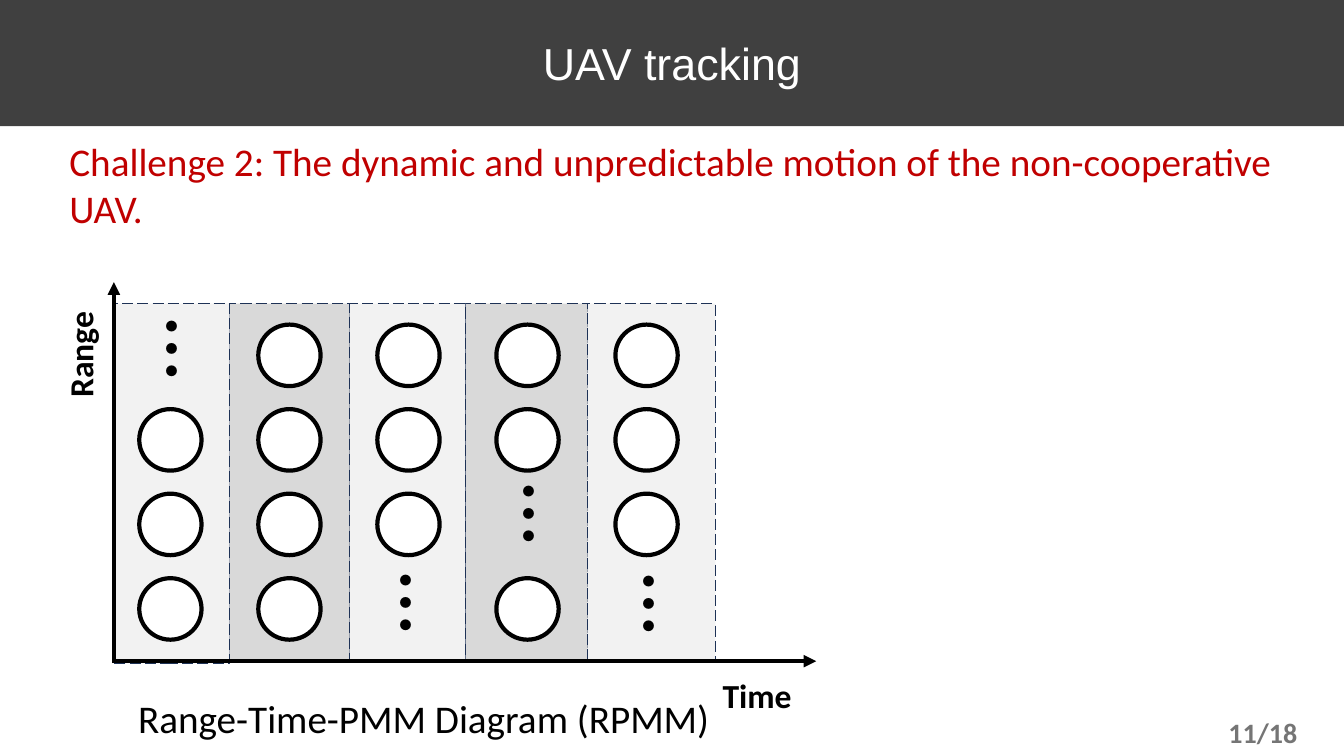
from lxml import etree
from pptx import Presentation
from pptx.dml.color import RGBColor
from pptx.enum.dml import MSO_LINE_DASH_STYLE as DASH
from pptx.enum.shapes import MSO_CONNECTOR, MSO_SHAPE
from pptx.enum.text import MSO_ANCHOR, MSO_AUTO_SIZE, PP_ALIGN
from pptx.oxml.ns import qn
from pptx.util import Cm, Pt

WHITE = RGBColor(0xFF, 0xFF, 0xFF)
BLACK = RGBColor(0, 0, 0)
BANNER = RGBColor(0x40, 0x40, 0x40)
RED = RGBColor(0xC0, 0, 0)
PAGE_GREY = RGBColor(0x75, 0x75, 0x75)
NAVY = RGBColor(0x1E, 0x32, 0x56)
BAND_FILLS = (RGBColor(0xF2, 0xF2, 0xF2), RGBColor(0xD9, 0xD9, 0xD9))

# Diagram geometry in centimetres
BAND_EDGES = (2.84, 5.79, 8.81, 11.73, 14.81, 18.03)
BAND_TOP, BAND_HEIGHT = 7.65, 9.0
CELL_LEFT, CELL_TOP = 3.51, 8.18
COLUMN_STEP, ROW_STEP = 3.0, 2.13
CELL_ROWS = (".OOOO", "OOOOO", "OOO.O", "OO.O.")
ELLIPSIS_PLACES = ((3.38, 7.8), (9.27, 14.2), (15.39, 14.22), (12.37, 11.94))


def format_runs(paragraph, size, color, font_name, bold=False):
    for run in paragraph.runs:
        font = run.font
        font.size, font.bold, font.name = Pt(size), bold, font_name
        font.color.rgb = color


def add_title(slide, text):
    title = slide.shapes.title
    title.left, title.top, title.width, title.height = Cm(0), Cm(0), Cm(33.87), Cm(3.18)
    title.fill.solid()
    title.fill.fore_color.rgb = BANNER
    frame = title.text_frame
    frame.text = text
    frame.vertical_anchor = MSO_ANCHOR.MIDDLE
    frame.paragraphs[0].alignment = PP_ALIGN.CENTER
    format_runs(frame.paragraphs[0], 32, WHITE, "Arial")


def add_text(slide, text, left, top, width, height, size, color=BLACK,
             font_name="Calibri", bold=False, rotation=0):
    box = slide.shapes.add_textbox(Cm(left), Cm(top), Cm(width), Cm(height))
    box.rotation = rotation
    frame = box.text_frame
    frame.word_wrap = True
    frame.auto_size = MSO_AUTO_SIZE.SHAPE_TO_FIT_TEXT
    frame.text = text
    format_runs(frame.paragraphs[0], size, color, font_name, bold)
    return box


def add_ellipsis(slide, left, top):
    box = add_text(slide, "…", left, top, 1.88, 2.31, 48,
                   font_name="Noto Sans CJK SC", bold=True, rotation=270)
    # The dots are set in the East Asian font
    properties = box.text_frame.paragraphs[0].runs[0].font._element
    latin = properties.find(qn("a:latin"))
    east_asian = etree.Element(qn("a:ea"), typeface="Noto Sans CJK SC")
    latin.addnext(east_asian)


def add_outlined(slide, kind, left, top, width, height, fill, line_color, line_width):
    shape = slide.shapes.add_shape(kind, Cm(left), Cm(top), Cm(width), Cm(height))
    shape.shadow.inherit = False
    shape.fill.solid()
    shape.fill.fore_color.rgb = fill
    shape.line.color.rgb = line_color
    shape.line.width = Pt(line_width)
    return shape


def add_axis(slide, start_x, start_y, end_x, end_y):
    axis = slide.shapes.add_connector(
        MSO_CONNECTOR.STRAIGHT, Cm(start_x), Cm(start_y), Cm(end_x), Cm(end_y))
    axis.line.color.rgb = BLACK
    axis.line.width = Pt(3)
    etree.SubElement(axis.line._get_or_add_ln(), qn("a:tailEnd"), type="triangle")
    etree.SubElement(axis._element.spPr, qn("a:effectLst"))


def add_bands(slide):
    # Later bands lie behind earlier ones
    for index in reversed(range(len(BAND_EDGES) - 1)):
        left, right = BAND_EDGES[index:index + 2]
        band = add_outlined(slide, MSO_SHAPE.RECTANGLE, left, BAND_TOP, right - left,
                            BAND_HEIGHT + (0.07 if index == 0 else 0),
                            BAND_FILLS[index % 2], NAVY, 1)
        band.line.dash_style = DASH.LONG_DASH


def add_cells(slide):
    for row, marks in enumerate(CELL_ROWS):
        for column, mark in enumerate(marks):
            if mark == "O":
                add_outlined(slide, MSO_SHAPE.OVAL, CELL_LEFT + column * COLUMN_STEP,
                             CELL_TOP + row * ROW_STEP, 1.57, 1.55, WHITE, BLACK, 3)


def main():
    presentation = Presentation()
    presentation.slide_width, presentation.slide_height = Cm(33.87), Cm(19.05)
    slide = presentation.slides.add_slide(presentation.slide_layouts[5])

    # Heading and page number
    add_title(slide, "UAV tracking")
    add_text(slide, "Challenge 2: The dynamic and unpredictable motion of the "
             "non-cooperative UAV.", 1.5, 3.33, 31.85, 2.64, 28, RED)
    add_text(slide, "11/18", 30.71, 17.91, 2.31, 1.12, 20, PAGE_GREY, bold=True)

    # Range-time diagram
    add_bands(slide)
    add_axis(slide, 2.9, 16.66, 20.57, 16.66)
    add_axis(slide, 2.87, 16.71, 2.87, 7.11)
    add_text(slide, "Time", 17.96, 16.87, 2.82, 1.27, 24, bold=True)
    add_text(slide, "Range", 0.61, 8.23, 2.82, 1.27, 24, bold=True, rotation=270)
    add_cells(slide)
    for left, top in ELLIPSIS_PLACES:
        add_ellipsis(slide, left, top)
    add_text(slide, "Range-Time-PMM Diagram (RPMM)", 3.23, 17.37, 15.54, 1.45, 28)

    presentation.save("out.pptx")


if __name__ == "__main__":
    main()
